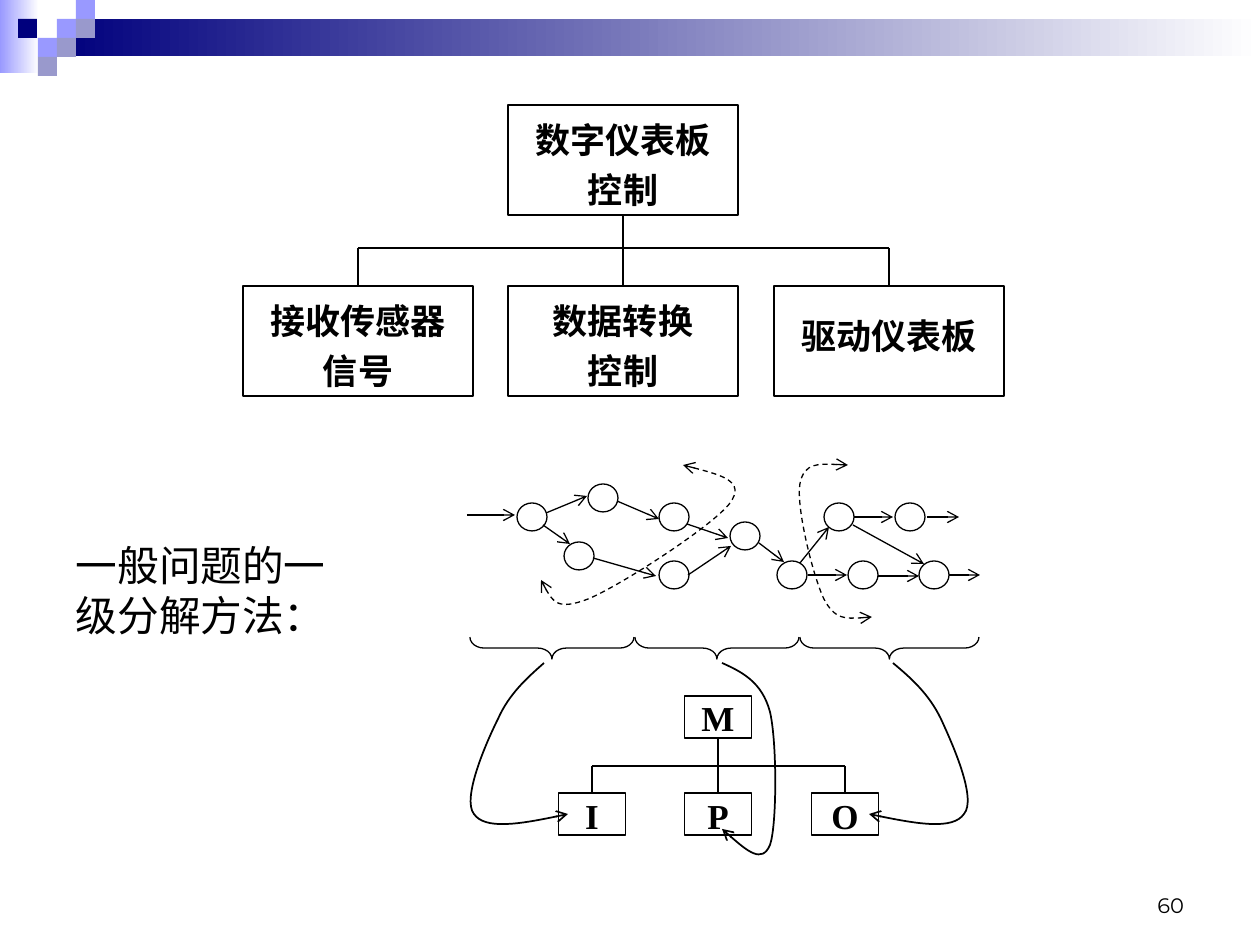
import lxml.etree
import pptx
import pptx.dml.color
import pptx.enum.dml
import pptx.enum.shapes
import pptx.enum.text
import pptx.oxml.ns
import pptx.util

PX = 914400 / 126
SHAPE = pptx.enum.shapes.MSO_SHAPE
ALIGN = pptx.enum.text.PP_ALIGN
ANCHOR = pptx.enum.text.MSO_ANCHOR
DASH = pptx.enum.dml.MSO_LINE.DASH
RGB = pptx.dml.color.RGBColor
BLACK, WHITE = RGB(0, 0, 0), RGB(255, 255, 255)
NAVY, PERIWINKLE, SLATE = RGB(0, 0, 0x7D), RGB(0x99, 0x99, 0xFF), RGB(0x99, 0x99, 0xCC)
SERIF = "Times New Roman"
THICK, THIN = 0.99, 0.74

# Header: fading bands and 19-pixel tiles
BANDS = [((0, 0, 39, 73), PERIWINKLE), ((57, 19, 1203, 37), NAVY)]
TILE = 19
TILES = [(57, 19, PERIWINKLE), (76, 0, PERIWINKLE), (76, 19, SLATE), (38, 38, PERIWINKLE),
         (18, 19, NAVY), (57, 38, SLATE), (38, 57, SLATE)]

METHOD = "一般问题的一级分解方法："
PAGE_NUMBER = "60"

# Trees: root label, then (label, top inset) of the children
DASHBOARD = dict(
    root=["数字仪表板", "控制"],
    children=[(["接收传感器", "信号"], 5), (["数据转换", "控制"], 5), (["驱动仪表板"], 20)],
    centres=[358, 623, 889], size=(230, 110), tops=(105, 286), bus=248,
    weight=THICK, spacing=1.2, inset=5)
IPO = dict(
    root=["M"], children=[(["I"], 1), (["P"], 1), (["O"], 1)],
    centres=[592, 718, 845], size=(67, 42), tops=(696, 793), bus=766,
    weight=THIN, spacing=1.0, inset=1)

# Data flow: bubble corners and arrows
BUBBLE_SIZE = (30, 28)
BUBBLES = [(517, 503), (588, 484), (659, 503), (564, 542), (659, 561), (730, 522),
           (777, 561), (824, 503), (848, 561), (895, 503), (919, 561)]
FLOWS = [(467, 515, 515, 515), (546, 513, 587, 496), (543, 525, 570, 544),
         (617, 501, 659, 519), (593, 558, 656, 576), (687, 524, 728, 538),
         (688, 575, 731, 546), (759, 543, 784, 562), (800, 563, 829, 527),
         (808, 575, 847, 575), (854, 517, 893, 517), (878, 576, 919, 576),
         (853, 525, 924, 564), (927, 517, 959, 517), (949, 575, 980, 575)]

# Curves: a start, then three points for every Bezier piece
BOUNDARIES = [
    [(683, 465), (714, 473), (746, 481), (730, 503), (714, 525), (620, 586),
     (588, 599), (557, 611), (548, 595), (541, 580)],
    [(848, 465), (827, 464), (804, 462), (800, 484), (796, 507), (813, 576),
     (824, 599), (835, 620), (853, 619), (872, 617)]]
MAPPINGS = [
    [(544, 663), (527, 678), (509, 694), (498, 719), (485, 745), (462, 799),
     (474, 814), (485, 830), (527, 823), (568, 814)],
    [(893, 663), (911, 678), (929, 694), (941, 719), (953, 745), (977, 799),
     (964, 814), (953, 830), (911, 823), (869, 814)],
    [(722, 663), (742, 672), (762, 682), (770, 712), (777, 742), (777, 825),
     (770, 845), (762, 864), (742, 847), (722, 829)]]

# Braces: left and right ends
BRACES = [(470, 634), (635, 799), (800, 979)]
BRACE_TOP, BRACE_DEPTH = 637, 22


def emu(*pixels):
    """Turn pixels into EMU."""
    return [pptx.util.Emu(round(p * PX)) for p in pixels]


def outline(part, weight, head=False, tail=False):
    """Give a part a black line, with arrowheads where asked."""
    part.line.color.rgb = BLACK
    part.line.width = pptx.util.Pt(weight)
    for end, wanted in (("a:headEnd", head), ("a:tailEnd", tail)):
        if wanted:
            lxml.etree.SubElement(part.line._get_or_add_ln(), pptx.oxml.ns.qn(end), type="arrow")


def add_preset(kind, box, weight=None, fill=None):
    """Add a preset shape without shadow."""
    part = slide.shapes.add_shape(kind, *emu(*box))
    part.shadow.inherit = False
    if fill is None:
        part.fill.background()
    else:
        part.fill.solid()
        part.fill.fore_color.rgb = fill
    if weight is None:
        part.line.fill.background()
    else:
        outline(part, weight)
    return part


def add_line(ends, weight, tail=False):
    """Add a straight line, optionally ending in an arrowhead."""
    line = slide.shapes.add_connector(pptx.enum.shapes.MSO_CONNECTOR.STRAIGHT, *emu(*ends))
    outline(line, weight, tail=tail)
    lxml.etree.SubElement(line._element.spPr, pptx.oxml.ns.qn("a:effectLst"))


def add_curve(points, weight, dashed=False):
    """Add a Bezier curve with an arrowhead at its end, or at both ends if dashed."""
    builder = slide.shapes.build_freeform(*points[0], scale=PX)
    builder.add_line_segments(points[1:], close=False)
    curve = builder.convert_to_shape()
    steps = list(curve._element.iter(pptx.oxml.ns.qn("a:lnTo")))
    for first in range(0, len(steps), 3):
        bezier = lxml.etree.Element(pptx.oxml.ns.qn("a:cubicBezTo"))
        steps[first].addprevious(bezier)
        for step in steps[first:first + 3]:
            bezier.append(step[0])
            step.getparent().remove(step)
    curve.shadow.inherit = False
    curve.fill.background()
    if dashed:
        curve.line.dash_style = DASH
    outline(curve, weight, head=dashed, tail=True)


def write(part, lines, size, insets, font=SERIF, bold=False, align=ALIGN.CENTER,
          anchor=ANCHOR.TOP, spacing=1.0, before=0):
    """Write one paragraph per line; insets are left/right, top, bottom."""
    frame = part.text_frame
    frame.word_wrap = True
    frame.vertical_anchor = anchor
    side, top, bottom = emu(*insets)
    frame.margin_left = frame.margin_right = side
    frame.margin_top, frame.margin_bottom = top, bottom
    for number, line in enumerate(lines):
        paragraph = frame.add_paragraph() if number else frame.paragraphs[0]
        paragraph.alignment = align
        paragraph.line_spacing = spacing
        paragraph.space_before = pptx.util.Pt(before)
        run = paragraph.add_run()
        run.text = line
        run.font.size = pptx.util.Pt(size)
        run.font.name = font
        run.font.bold = bold
        run.font.color.rgb = BLACK


def add_tree(root, children, centres, size, tops, bus, weight, spacing, inset):
    """Draw a root box joined by a bus to a row of child boxes."""
    width, height = size
    middle = centres[1]
    boxes = [(root, inset, middle, tops[0])]
    boxes += [(label, top_inset, centre, tops[1])
              for (label, top_inset), centre in zip(children, centres)]
    for label, top_inset, centre, top in boxes:
        module = add_preset(SHAPE.RECTANGLE, (centre - width / 2, top, width, height), weight)
        write(module, label, 20, (2, top_inset, inset), bold=True, spacing=spacing)
    add_line((middle, tops[0] + height, middle, tops[1]), weight)
    add_line((centres[0], bus, centres[2], bus), weight)
    for centre in (centres[0], centres[2]):
        add_line((centre, bus, centre, tops[1]), weight)


deck = pptx.Presentation()
deck.slide_width, deck.slide_height = emu(1260, 945)
slide = deck.slides.add_slide(deck.slide_layouts[6])

for box, colour in BANDS:
    band = add_preset(SHAPE.RECTANGLE, box)
    band.fill.gradient()
    band.fill.gradient_angle = 0
    for stop, shade in zip(band.fill.gradient_stops, (colour, WHITE)):
        stop.color.rgb = shade
for left, top, colour in TILES:
    add_preset(SHAPE.RECTANGLE, (left, top, TILE, TILE), fill=colour)

method = slide.shapes.add_textbox(*emu(63, 534, 284, 166))
write(method, [METHOD], 23.8, (13, 6, 6), align=ALIGN.LEFT, before=7)

add_tree(**DASHBOARD)
for corner in BUBBLES:
    add_preset(SHAPE.OVAL, corner + BUBBLE_SIZE, THIN)
for ends in FLOWS:
    add_line(ends, THIN, tail=True)
for points in BOUNDARIES:
    add_curve(points, THIN, dashed=True)
for left, right in BRACES:
    length = right - left
    brace = add_preset(SHAPE.LEFT_BRACE,
                       ((left + right - BRACE_DEPTH) / 2, BRACE_TOP + (BRACE_DEPTH - length) / 2,
                        BRACE_DEPTH, length), THIN)
    brace.rotation = 270
    brace.adjustments[0] = 0.65
add_tree(**IPO)
for points in MAPPINGS:
    add_curve(points, THICK)

page = slide.shapes.add_textbox(*emu(903, 861, 294, 63))
write(page, [PAGE_NUMBER], 12, (13, 6, 6), font="Montserrat", align=ALIGN.RIGHT,
      anchor=ANCHOR.BOTTOM)

deck.save("out.pptx")
